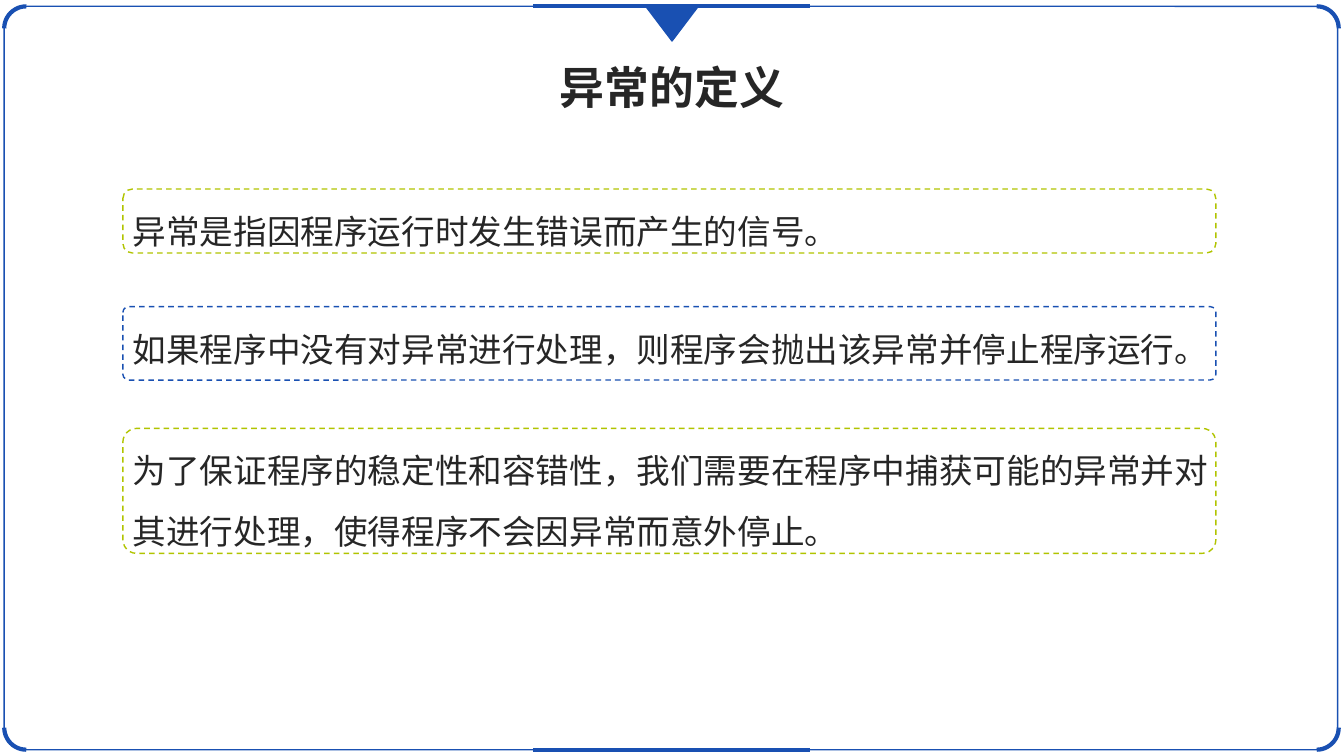
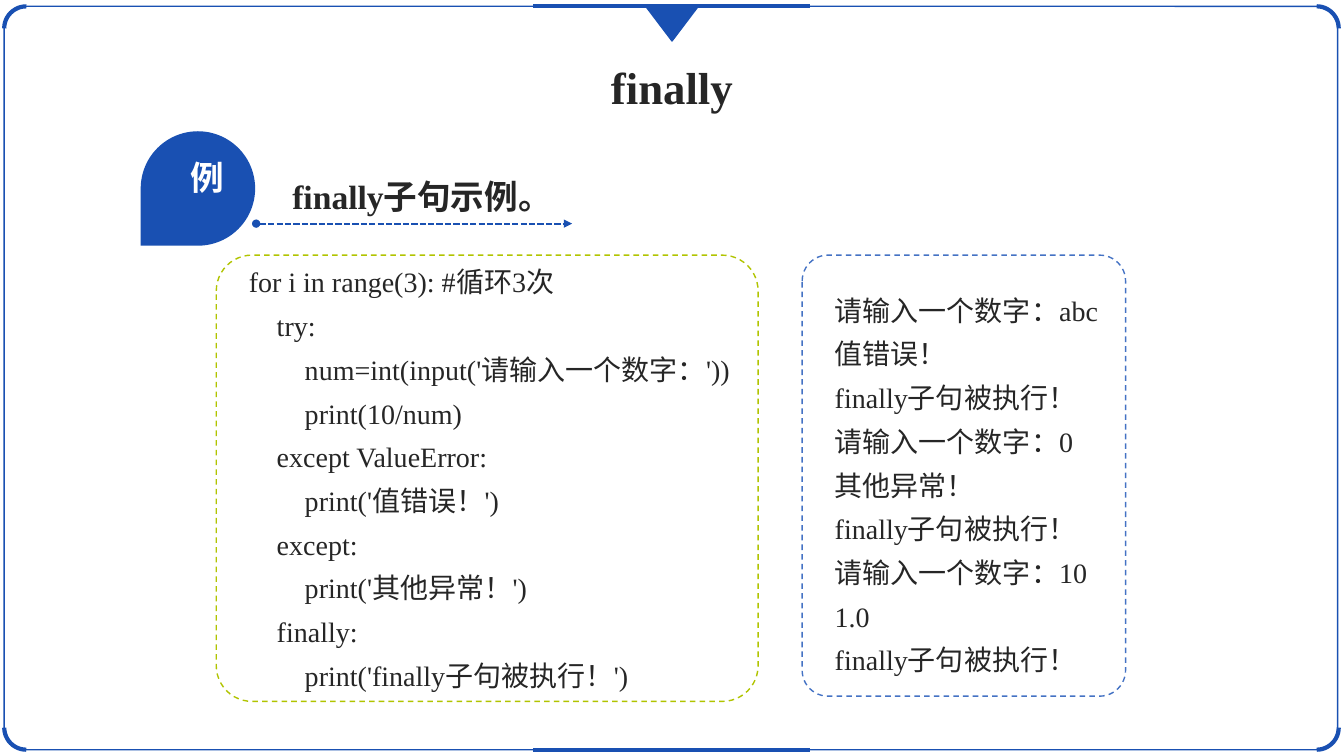
from pptx import Presentation
from pptx import util as u
from pptx.dml.color import RGBColor
from pptx.enum import dml, shapes, text
from pptx.oxml.ns import qn
from lxml import etree

PX = 9525
COLORS = {"blue": "1950B2", "lime": "B1C400", "sky": "4472C4", "ink": "262626", "white": "FFFFFF"}
LATIN, CHINESE = "Times New Roman", "Noto Sans CJK SC"
PRESET = shapes.MSO_SHAPE


def add_shape(slide, preset, box, line=None, width=1, fill=None, dash=None, radius=None):
    shape = slide.shapes.add_shape(preset, *[value * PX for value in box])
    shape.shadow.inherit = False
    if fill:
        shape.fill.solid()
        shape.fill.fore_color.rgb = RGBColor.from_string(COLORS[fill])
    else:
        shape.fill.background()
    if line:
        shape.line.color.rgb = RGBColor.from_string(COLORS[line])
        shape.line.width = u.Pt(width)
        shape.line.dash_style = dash
    else:
        shape.line.fill.background()
    if radius is not None:
        shape.adjustments[0] = radius
    return shape


def write(shape, content, size, bold=False, spacing=1.0, align=None, color="ink", latin=LATIN):
    frame = shape.text_frame
    frame.word_wrap = True
    frame.auto_size = text.MSO_AUTO_SIZE.NONE
    frame.vertical_anchor = text.MSO_ANCHOR.TOP
    frame.text = content
    for paragraph in frame.paragraphs:
        paragraph.alignment = align
        paragraph.line_spacing = spacing
        paragraph.font.size = u.Pt(size)
        paragraph.font.bold = bold
        paragraph.font.name = latin
        paragraph.font.color.rgb = RGBColor.from_string(COLORS[color])
        defaults = paragraph._p.pPr.find(qn("a:defRPr"))
        etree.SubElement(defaults, qn("a:ea")).set("typeface", CHINESE)
    return frame


presentation = Presentation()
presentation.slide_width, presentation.slide_height = 1280 * PX, 720 * PX
layout = presentation.slide_layouts[5]
layout_title = layout.placeholders[0]
layout_title.left, layout_title.top = 80 * PX, 52 * PX
layout_title.width, layout_title.height = 1120 * PX, 61 * PX

definition = presentation.slides.add_slide(layout)
example = presentation.slides.add_slide(layout)
for slide, title in [(definition, "异常的定义"), (example, "finally")]:
    write(slide.shapes.title, title, 32, bold=True, align=text.PP_ALIGN.CENTER)

frame_parts = [add_shape(definition, PRESET.ROUNDED_RECTANGLE, (4, 6, 1270, 708), "blue", radius=0.03)]
for left, top, rotation in [(4, 6, 270), (4, 672, 180), (1233, 6, 0), (1233, 672, 90)]:
    corner = add_shape(definition, PRESET.ARC, (left, top, 42, 42), "blue", 3)
    corner.rotation = rotation
    frame_parts.append(corner)
marker = add_shape(definition, PRESET.ISOSCELES_TRIANGLE, (615, 6, 50, 33), "blue", fill="blue")
marker.rotation = 180
frame_parts.append(marker)

for slide, start, end, y, width in [
    (definition, 508, 771, 6, 3),
    (definition, 508, 771, 714, 3),
    (example, 244, 545, 213, 1.5),
]:
    connector = slide.shapes.add_connector(
        shapes.MSO_CONNECTOR.STRAIGHT, start * PX, y * PX, end * PX, y * PX)
    connector.line.color.rgb = RGBColor.from_string(COLORS["blue"])
    connector.line.width = u.Pt(width)
    if slide is example:
        connector.line.dash_style = dml.MSO_LINE.SQUARE_DOT
        outline = connector.line._get_or_add_ln()
        for tag, kind in [("a:headEnd", "oval"), ("a:tailEnd", "triangle")]:
            etree.SubElement(outline, qn(tag)).set("type", kind)
    else:
        frame_parts.append(connector)
    etree.SubElement(connector.element.spPr, qn("a:effectLst"))

for number, part in enumerate(frame_parts, 101):
    part.element.xpath(".//p:cNvPr")[0].set("id", str(number))
    layout.shapes.element.append(part.element)

statements = [
    ("异常是指因程序运行时发生错误而产生的信号。", 180, 61, "lime", 0.15),
    ("如果程序中没有对异常进行处理，则程序会抛出该异常并停止程序运行。", 292, 70, "blue", 0.08),
    ("为了保证程序的稳定性和容错性，我们需要在程序中捕获可能的异常并对其进行处理，使得程序不会因异常而意外停止。",
     408, 119, "lime", 0.11),
]
for statement, top, height, color, radius in statements:
    add_shape(definition, PRESET.ROUNDED_RECTANGLE, (117, top, 1041, height), color,
              dash=dml.MSO_LINE.DASH, radius=radius)
    box = definition.shapes.add_textbox(117 * PX, (top - 3) * PX, 1054 * PX, height * PX)
    write(box, statement, 24, spacing=1.5)

code = """for i in range(3): #循环3次
    try:
        num=int(input('请输入一个数字：'))
        print(10/num)
    except ValueError:
        print('值错误！')
    except:
        print('其他异常！')
    finally:
        print('finally子句被执行！')"""
output = """请输入一个数字：abc
值错误！
finally子句被执行！
请输入一个数字：0
其他异常！
finally子句被执行！
请输入一个数字：10
1.0
finally子句被执行！"""
for listing, left, width, height, color, text_top, text_width in [
    (code, 206, 516, 425, "lime", 238, 624),
    (output, 764, 308, 420, "sky", 265, 382),
]:
    add_shape(example, PRESET.ROUNDED_RECTANGLE, (left, 243, width, height), color,
              dash=dml.MSO_LINE.DASH, radius=0.08)
    box = example.shapes.add_textbox(left * PX, text_top * PX, text_width * PX, (663 - text_top) * PX)
    write(box, listing, 20, spacing=1.3).margin_left = 31 * PX

heading = example.shapes.add_textbox(269 * PX, 144 * PX, 995 * PX, 61 * PX)
write(heading, "finally子句示例。", 24, bold=True, spacing=1.5)
badge = add_shape(example, PRESET.TEAR, (134, 125, 109, 109), fill="blue")
badge.rotation = 180
badge_label = example.shapes.add_textbox(171 * PX, 145 * PX, 52 * PX, 56 * PX)
write(badge_label, "例", 24, bold=True, align=text.PP_ALIGN.CENTER, color="white", latin=CHINESE)

presentation.save("out.pptx")
